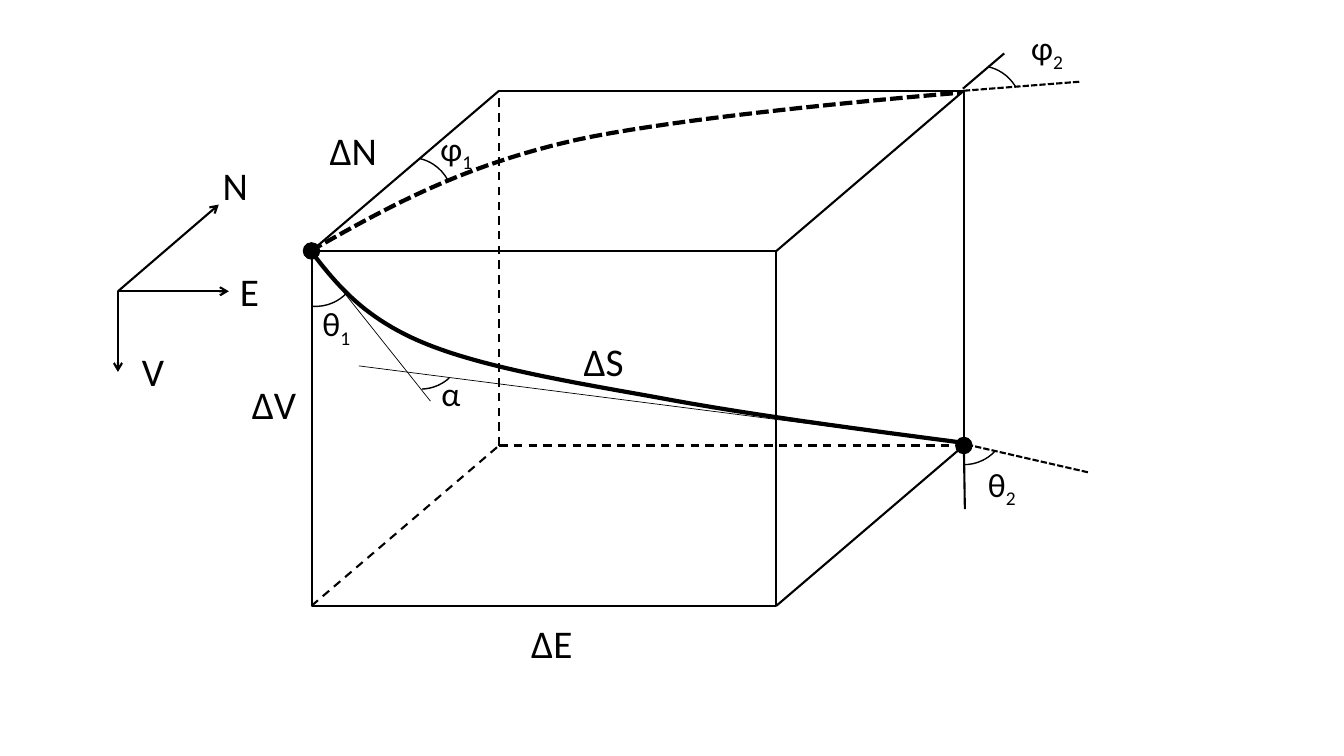
from pptx import Presentation
from pptx.dml.color import RGBColor
from pptx.enum.dml import MSO_LINE
from pptx.enum.shapes import MSO_CONNECTOR, MSO_SHAPE
from pptx.enum.text import MSO_AUTO_SIZE
from pptx.oxml.ns import qn
from pptx.util import Inches, Pt
from lxml.etree import SubElement

BLACK = "000000"
FONT = "Calibri"

# Survey box: front upper left corner, front face size, and shift to the back face
BOX = {"left": 3.09, "top": 2.49, "width": 4.61, "height": 3.52, "shift": (1.86, -1.59)}
COMPASS = {"left": 1.17, "top": 2.89}


def color(hex_string):
    return RGBColor.from_string(hex_string)


def style_line(line, weight, dash=None):
    line.color.rgb = color(BLACK)
    line.width = Pt(weight)
    if dash is not None:
        line.dash_style = dash


def place(box, point):
    return Inches(box["left"] + point[0]), Inches(box["top"] + point[1])


def add_line(slide, box, start, end, weight=1.5, dash=None, arrow=False):
    connector = slide.shapes.add_connector(
        MSO_CONNECTOR.STRAIGHT, *place(box, start), *place(box, end))
    style_line(connector.line, weight, dash)
    properties = connector._element.spPr
    if arrow:
        SubElement(properties.find(qn("a:ln")), qn("a:tailEnd"), type="arrow")
    SubElement(properties, qn("a:effectLst"))


def add_preset(slide, box, kind, corner, size, weight, fill=None):
    shape = slide.shapes.add_shape(
        kind, *place(box, corner), Inches(size[0]), Inches(size[1]))
    shape.shadow.inherit = False
    if fill:
        shape.fill.solid()
        shape.fill.fore_color.rgb = color(fill)
    else:
        shape.fill.background()
    style_line(shape.line, weight)
    return shape


def add_label(slide, box, corner, width, text, subscript="", size=28):
    height = 0.57 if size == 28 else 0.5
    label = slide.shapes.add_textbox(*place(box, corner), Inches(width), Inches(height))
    frame = label.text_frame
    frame.word_wrap = False
    frame.auto_size = MSO_AUTO_SIZE.SHAPE_TO_FIT_TEXT
    paragraph = frame.paragraphs[0]
    for part in filter(None, (text, subscript)):
        run = paragraph.add_run()
        run.text = part
        run.font.name = FONT
        run.font.size = Pt(size)
        run.font.color.rgb = color(BLACK)
        if part == subscript:
            run.font._element.set("baseline", "-25000")


def bezier_point(controls, t):
    weights = ((1 - t) ** 3, 3 * t * (1 - t) ** 2, 3 * t * t * (1 - t), t ** 3)
    return tuple(sum(w * c[axis] for w, c in zip(weights, controls)) for axis in (0, 1))


def add_curve(slide, box, points, weight, dash=None, steps=24):
    """Draw joined cubic curves; every third point lies on the curve."""
    samples = [bezier_point(points[first:first + 4], step / steps)
               for first in range(0, len(points) - 1, 3)
               for step in range(1, steps + 1)]
    builder = slide.shapes.build_freeform(*place(box, points[0]))
    builder.add_line_segments([place(box, point) for point in samples], close=False)
    shape = builder.convert_to_shape()
    shape.shadow.inherit = False
    shape.fill.background()
    style_line(shape.line, weight, dash)


def add_survey_box(slide, box):
    width, height = box["width"], box["height"]
    shift_x, shift_y = box["shift"]

    def back(x, y):
        return x + shift_x, y + shift_y

    # Front face and the edges that run back from its corners
    add_preset(slide, box, MSO_SHAPE.RECTANGLE, (0, 0), (width, height), 1.5)
    for corner in ((0, 0), (width, 0), (width, height), (0, height)):
        hidden = MSO_LINE.DASH if corner == (0, height) else None
        add_line(slide, box, corner, back(*corner), dash=hidden)

    # Back face, with hidden edges dashed
    add_line(slide, box, back(width, 0), back(0, 0))
    add_line(slide, box, back(width, height), back(width, 0))
    for corner in ((0, 0), (width, height)):
        add_line(slide, box, back(0, height), back(*corner), dash=MSO_LINE.DASH)

    # Survey stations
    radius = 0.08
    for x, y in ((0, 0), back(width, height)):
        add_preset(slide, box, MSO_SHAPE.OVAL, (x - radius, y - radius),
                   (2 * radius, 2 * radius), 1, fill=BLACK)

    # Edge labels
    for text, corner, label_width in (("ΔE", (2.08, 3.6), 0.62),
                                      ("ΔV", (-0.69, 1.23), 0.65),
                                      ("ΔN", (0.08, -1.29), 0.68)):
        add_label(slide, box, corner, label_width, text)


def add_compass(slide, box):
    for text, tip, corner, width in (("E", (1.1, 0), (1.11, -0.29), 0.39),
                                     ("N", (1, -0.86), (0.94, -1.34), 0.46),
                                     ("V", (0, 0.8), (0.14, 0.51), 0.42)):
        add_line(slide, box, (0, 0), tip, arrow=True)
        add_label(slide, box, corner, width, text)


def add_well_path(slide, box):
    # Horizontal projection on the top face
    add_curve(slide, box, [(-0.01, 0), (0.71, -0.41), (1.42, -0.81), (2.49, -1.07),
                           (3.57, -1.34), (6.44, -1.57), (6.44, -1.57)],
              3, MSO_LINE.SQUARE_DOT)
    # Path in space
    add_curve(slide, box, [(-0.03, -0.03), (0.23, 0.31), (0.49, 0.64), (1.06, 0.89),
                           (1.63, 1.14), (2.51, 1.29), (3.41, 1.45),
                           (4.31, 1.62), (5.37, 1.76), (6.44, 1.9)], 3)
    add_label(slide, box, (2.6, 0.81), 0.6, "ΔS")


def add_angles(slide, box):
    # Extensions and tangents: start, end, weight, dash
    dotted = MSO_LINE.SQUARE_DOT
    for start, end, weight, dash in (((6.46, -1.61), (6.87, -1.96), 1.5, None),
                                     ((6.47, -1.59), (7.63, -1.68), 1.5, dotted),
                                     ((6.47, 1.94), (6.48, 2.56), 1.5, None),
                                     ((6.5, 1.92), (7.72, 2.2), 1.5, dotted),
                                     ((-0.03, -0.03), (1.18, 1.49), 0.5, None),
                                     ((0.47, 1.14), (6.55, 1.92), 0.5, None)):
        add_line(slide, box, start, end, weight, dash)

    # Angle arcs: corner, rotation, start and end adjustments
    for corner, rotation, start, end in (((-0.36, -0.26), 94.2, 184.23, 0),
                                         ((0.61, -0.93), 332.1, 184.23, 0),
                                         ((6.25, -1.84), 332.1, 184.23, 213.82),
                                         ((6.07, 1.31), 94, 184.23, 213.82),
                                         ((0.68, 0.56), 94.2, 186.21, 211.87)):
        arc = add_preset(slide, box, MSO_SHAPE.ARC, corner, (0.79, 0.83), 1)
        arc.rotation = rotation
        arc.adjustments[0] = start
        arc.adjustments[1] = end

    # Angle labels
    for text, subscript, corner, width in (("φ", "1", (1.18, -1.27), 0.54),
                                           ("θ", "1", (0.01, 0.47), 0.49),
                                           ("φ", "2", (7.04, -2.27), 0.54),
                                           ("θ", "2", (6.61, 2.06), 0.49),
                                           ("α", "", (1.19, 1.16), 0.39)):
        add_label(slide, box, corner, width, text, subscript, size=24)


presentation = Presentation()
presentation.slide_width = Inches(13.33)
presentation.slide_height = Inches(7.5)
slide = presentation.slides.add_slide(presentation.slide_layouts[6])
add_survey_box(slide, BOX)
add_compass(slide, COMPASS)
add_well_path(slide, BOX)
add_angles(slide, BOX)
presentation.save("out.pptx")
